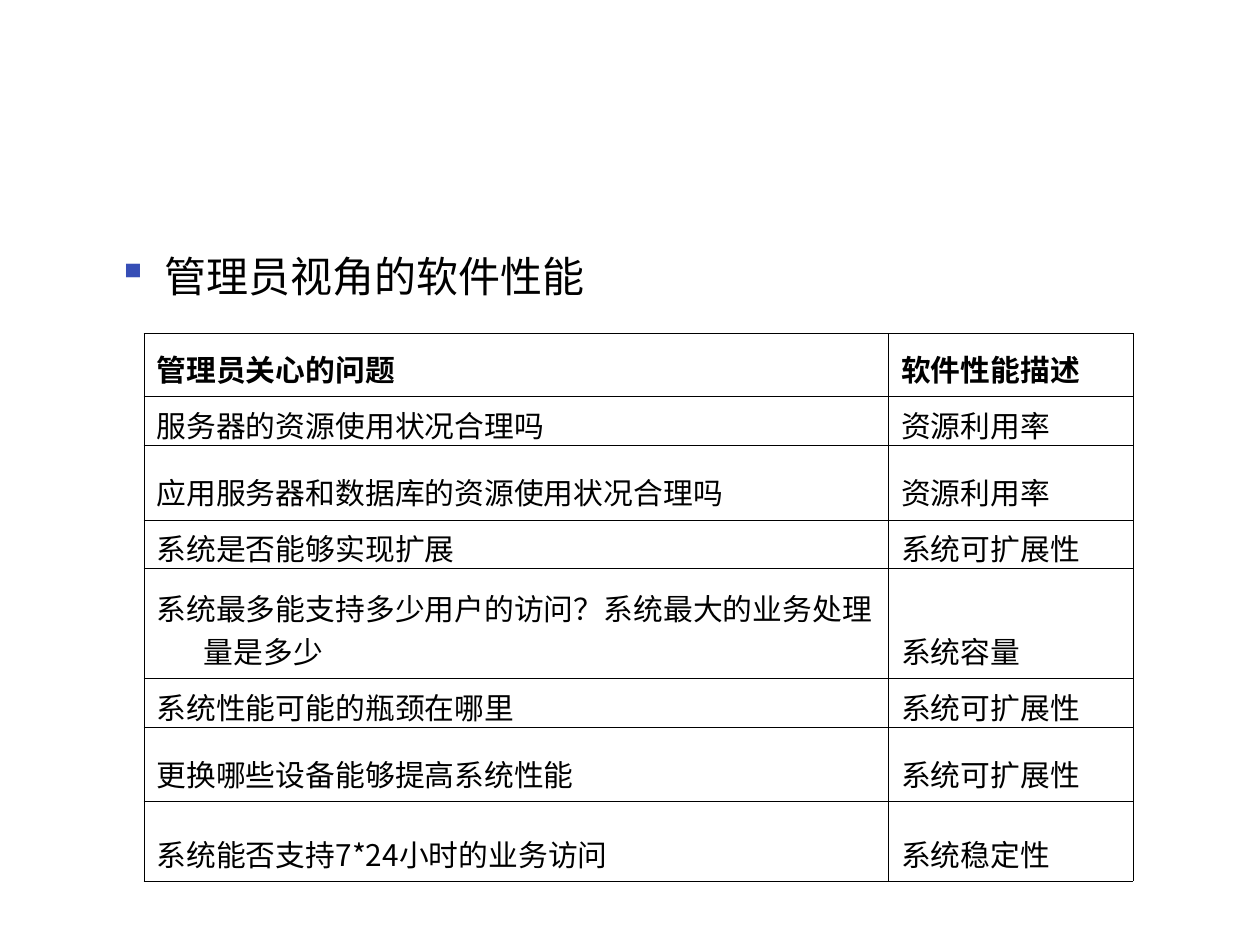
"""Build the slide on software performance as administrators see it."""
from lxml.etree import SubElement
from pptx import Presentation
from pptx.dml.color import RGBColor
from pptx.enum.text import MSO_ANCHOR
from pptx.oxml import parse_xml
from pptx.oxml.ns import nsdecls, qn
from pptx.util import Pt

BLACK = "000000"
INDENT = Pt(27)
WIDTHS = [425.5, 139.7]
HEIGHTS = [36, 28, 42.5, 28, 62.6, 28, 42.5, 45.4]
ROWS = [
    ("管理员关心的问题", "软件性能描述"),
    ("服务器的资源使用状况合理吗", "资源利用率"),
    ("应用服务器和数据库的资源使用状况合理吗", "资源利用率"),
    ("系统是否能够实现扩展", "系统可扩展性"),
    ("系统最多能支持多少用户的访问？系统最大的业务处理量是多少", "系统容量"),
    ("系统性能可能的瓶颈在哪里", "系统可扩展性"),
    ("更换哪些设备能够提高系统性能", "系统可扩展性"),
    ("系统能否支持7*24小时的业务访问", "系统稳定性"),
]


def color(code):
    """Turn a hex string into a colour."""
    return RGBColor.from_string(code)


def style(para, size, face, bold=False):
    """Give a paragraph its hanging indent and its runs their font."""
    props = para._p.get_or_add_pPr()
    props.set("marL", str(INDENT))
    props.set("indent", str(-INDENT))
    for run in para.runs:
        font = run.font
        font.size, font.name, font.bold = Pt(size), face, bold
        font.color.rgb = color(BLACK)
        SubElement(run._r.rPr, qn("a:ea"), typeface="Noto Sans CJK SC")


def bullet(para, mark, code):
    """Put a coloured bullet before a paragraph."""
    props = para._p.get_or_add_pPr()
    tint = SubElement(props, qn("a:buClr"))
    SubElement(tint, qn("a:srgbClr"), val=str(color(code)))
    SubElement(props, qn("a:buChar"), char=mark)


def border(cell, width, code):
    """Draw a line on all four sides of a cell."""
    props = cell._tc.get_or_add_tcPr()
    for spot, side in enumerate(("lnL", "lnR", "lnT", "lnB")):
        line = parse_xml(
            f'<a:{side} {nsdecls("a")} w="{Pt(width)}"><a:solidFill>'
            f'<a:srgbClr val="{color(code)}"/></a:solidFill></a:{side}>')
        props.insert(spot, line)


def heading(slide, text):
    """Add the bulleted heading."""
    box = slide.shapes.add_textbox(Pt(60), Pt(139.7), Pt(303), Pt(44))
    frame = box.text_frame
    frame.word_wrap = True
    frame.text = text
    para = frame.paragraphs[0]
    bullet(para, "▪", "364EB6")
    style(para, 24, "Times New Roman")


def grid(slide, rows):
    """Add the table of questions and performance terms."""
    table = slide.shapes.add_table(
        len(rows), len(WIDTHS), Pt(82.3), Pt(190.6),
        Pt(sum(WIDTHS)), Pt(sum(HEIGHTS))).table
    table.horz_banding = False
    for col, width in zip(table.columns, WIDTHS):
        col.width = Pt(width)
    for row, height in zip(table.rows, HEIGHTS):
        row.height = Pt(height)
    for r, texts in enumerate(rows):
        for c, text in enumerate(texts):
            cell = table.cell(r, c)
            cell.text_frame.text = text
            cell.vertical_anchor = MSO_ANCHOR.BOTTOM
            cell.margin_left = cell.margin_right = Pt(7.2)
            cell.margin_top = cell.margin_bottom = Pt(3.6)
            cell.fill.background()
            border(cell, 0.45, BLACK)
            style(cell.text_frame.paragraphs[0], 17,
                  "Noto Sans CJK SC", r == 0)


def main():
    """Build and save the slide."""
    deck = Presentation()
    deck.slide_width, deck.slide_height = Pt(720), Pt(540)
    slide = deck.slides.add_slide(deck.slide_layouts[6])
    heading(slide, "管理员视角的软件性能")
    grid(slide, ROWS)
    deck.save("out.pptx")


if __name__ == "__main__":
    main()
